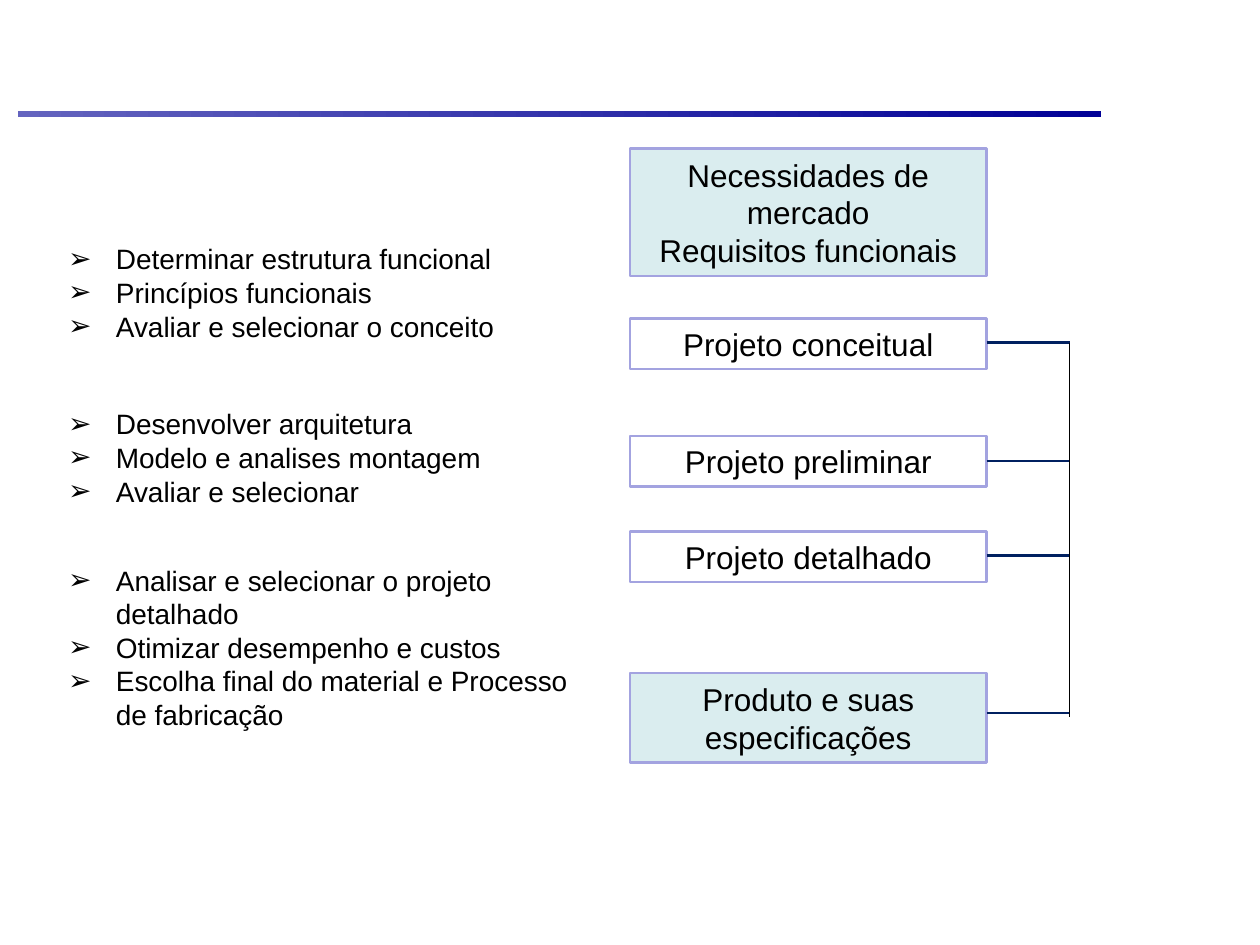
"""Build a slide on the stages of product design and the tasks of each stage."""
import pptx
import pptx.dml.color
import pptx.enum.shapes
import pptx.enum.text
import pptx.oxml.ns
import pptx.util
from lxml import etree
from pptx.util import Inches

COLOURS = {
    "text": "000000",
    "band_start": "6464BF",
    "band_end": "000096",
    "stage_line": "A3A3E0",
    "stage_fill": "DAEDEF",
    "branch": "002060",
    "trunk": "000000",
}
STAGE_LEFT, STAGE_WIDTH = 5, 2.83
STAGE_RIGHT = STAGE_LEFT + STAGE_WIDTH
TRUNK_X = 8.49
LIST_LEFT = 0.44
BULLET_INDENT = 0.38

STAGES = [
    (1.18, 1.01, "stage_fill", ["Necessidades de mercado", "Requisitos funcionais"]),
    (2.53, 0.4, None, ["Projeto conceitual"]),
    (3.46, 0.4, None, ["Projeto preliminar"]),
    (4.22, 0.4, None, ["Projeto detalhado"]),
    (5.34, 0.71, "stage_fill", ["Produto e suas especificações"]),
]
BRANCHES = [2.72, 3.66, 4.41, 5.66]
TASK_LISTS = [
    (1.87, 3.73, 0.91, [
        "Determinar estrutura funcional",
        "Princípios funcionais",
        "Avaliar e selecionar o conceito",
    ]),
    (3.18, 3.73, 0.91, [
        "Desenvolver arquitetura",
        "Modelo e analises montagem",
        "Avaliar e selecionar",
    ]),
    (4.42, 4.25, 1.45, [
        "Analisar e selecionar o projeto detalhado",
        "Otimizar desempenho e custos",
        "Escolha final do material e Processo de fabricação",
    ]),
]


def colour(name):
    return pptx.dml.color.RGBColor.from_string(COLOURS[name])


def add_bullet(para, mark):
    properties = para._p.get_or_add_pPr()
    indent = Inches(BULLET_INDENT)
    properties.set("marL", str(indent))
    properties.set("indent", str(-indent))
    font = etree.SubElement(properties, pptx.oxml.ns.qn("a:buFont"))
    font.set("typeface", "Arial")
    bullet = etree.SubElement(properties, pptx.oxml.ns.qn("a:buChar"))
    bullet.set("char", mark)


def write_text(box, lines, size=18, align="LEFT", anchor="TOP", bullet=None):
    frame = box.text_frame
    frame.word_wrap = True
    frame.auto_size = pptx.enum.text.MSO_AUTO_SIZE.NONE
    frame.vertical_anchor = getattr(pptx.enum.text.MSO_ANCHOR, anchor)
    for index, line in enumerate(lines):
        para = frame.add_paragraph() if index else frame.paragraphs[0]
        if bullet:
            add_bullet(para, bullet)
        para.alignment = getattr(pptx.enum.text.PP_ALIGN, align)
        para.space_before = pptx.util.Pt(0)
        span = para.add_run()
        span.text = line
        span.font.name = "Arial"
        span.font.size = pptx.util.Pt(size)
        span.font.bold = False
        span.font.color.rgb = colour("text")


def add_box(page, left, top, width, height):
    box = page.shapes.add_shape(
        pptx.enum.shapes.MSO_SHAPE.RECTANGLE,
        Inches(left), Inches(top), Inches(width), Inches(height))
    box.shadow.inherit = False
    return box


def add_band(page):
    band = add_box(page, 0.14, 0.88, 8.6, 0.05)
    band.line.fill.background()
    band.fill.gradient()
    band.fill.gradient_angle = 0
    for stop, name in zip(band.fill.gradient_stops, ["band_start", "band_end"]):
        stop.color.rgb = colour(name)


def add_stage(page, top, height, fill, lines):
    box = add_box(page, STAGE_LEFT, top, STAGE_WIDTH, height)
    if fill:
        box.fill.solid()
        box.fill.fore_color.rgb = colour(fill)
    else:
        box.fill.background()
    box.line.color.rgb = colour("stage_line")
    box.line.width = pptx.util.Pt(1.5)
    write_text(box, lines, align="CENTER", anchor="MIDDLE")


def add_line(page, start, end, name, width):
    line = page.shapes.add_connector(
        pptx.enum.shapes.MSO_CONNECTOR.STRAIGHT,
        *[Inches(value) for value in start + end])
    line.line.color.rgb = colour(name)
    line.line.width = pptx.util.Pt(width)
    etree.SubElement(line._element.spPr, pptx.oxml.ns.qn("a:effectLst"))


def fill_task_list(box, top, width, height, lines):
    box.left, box.top = Inches(LIST_LEFT), Inches(top)
    box.width, box.height = Inches(width), Inches(height)
    write_text(box, lines, size=16, bullet="➢")


def main():
    deck = pptx.Presentation()
    deck.slide_width, deck.slide_height = Inches(10), Inches(7.5)
    page = deck.slides.add_slide(deck.slide_layouts.get_by_name("Comparison"))
    title, *bodies = page.placeholders
    for box, tasks in zip(bodies, TASK_LISTS):
        fill_task_list(box, *tasks)
    for unused in [title] + bodies[len(TASK_LISTS):]:
        unused._element.getparent().remove(unused._element)

    add_band(page)
    for stage in STAGES:
        add_stage(page, *stage)
    for y in BRANCHES:
        add_line(page, (STAGE_RIGHT, y), (TRUNK_X, y), "branch", 1.5)
    add_line(page, (TRUNK_X, BRANCHES[0]), (TRUNK_X, 5.69), "trunk", 0.75)
    deck.save("out.pptx")


if __name__ == "__main__":
    main()
